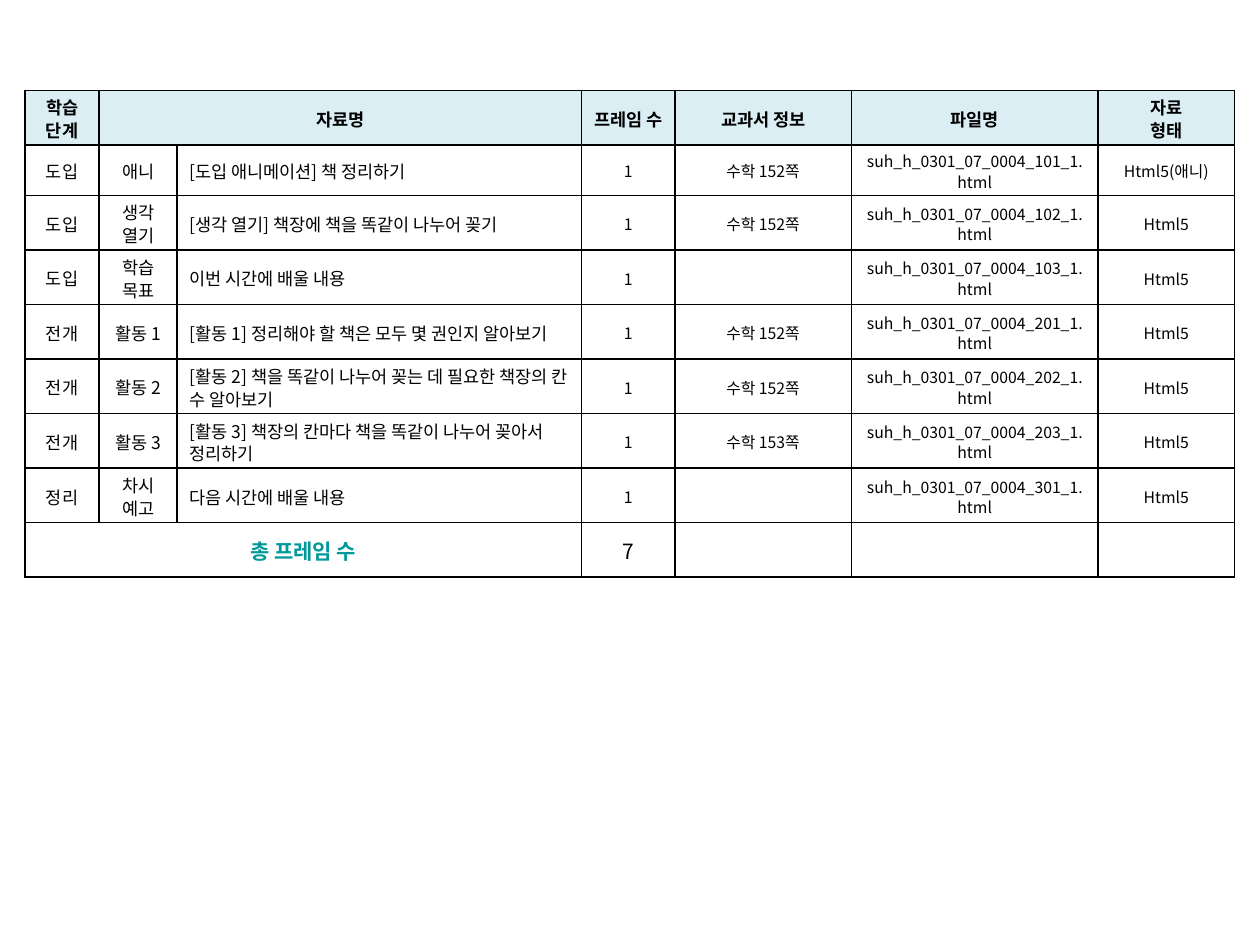
from lxml.etree import SubElement
from pptx import Presentation
from pptx.dml.color import RGBColor
from pptx.enum.text import MSO_ANCHOR, PP_ALIGN
from pptx.oxml.ns import qn
from pptx.util import Pt

FONT = "Noto Sans CJK KR"
BLACK, TEAL, HEADER_FILL = "000000", "009999", "DBEEF4"
COLUMN_WIDTHS = [42.5, 44.6, 231.1, 53.3, 100.8, 141.1, 77.8]
FIRST_LESSON_HEIGHT, ROW_HEIGHT = 28.8, 31.2
TITLE_COLUMN, FRAME_COLUMN = 2, 3

HEADERS = ["학습 단계", "자료명", "", "프레임 수", "교과서 정보", "파일명", "자료\n형태"]
# Stage, section, title, textbook page, file number, format
LESSONS = [
    ("도입", "애니", "[도입 애니메이션] 책 정리하기", "수학 152쪽", 101, "Html5(애니)"),
    ("도입", "생각 열기", "[생각 열기] 책장에 책을 똑같이 나누어 꽂기", "수학 152쪽", 102, "Html5"),
    ("도입", "학습 목표", "이번 시간에 배울 내용", "", 103, "Html5"),
    ("전개", "활동 1", "[활동 1] 정리해야 할 책은 모두 몇 권인지 알아보기", "수학 152쪽", 201, "Html5"),
    ("전개", "활동 2", "[활동 2] 책을 똑같이 나누어 꽂는 데 필요한 책장의 칸 수 알아보기",
     "수학 152쪽", 202, "Html5"),
    ("전개", "활동 3", "[활동 3] 책장의 칸마다 책을 똑같이 나누어 꽂아서 정리하기",
     "수학 153쪽", 203, "Html5"),
    ("정리", "차시 예고", "다음 시간에 배울 내용", "", 301, "Html5"),
]


def color(hex_string):
    return RGBColor.from_string(hex_string)


def set_borders(cell):
    properties = cell._tc.get_or_add_tcPr()
    for position, side in enumerate(("a:lnL", "a:lnR", "a:lnT", "a:lnB")):
        line = SubElement(properties, qn(side), w=str(Pt(1)))
        fill = SubElement(line, qn("a:solidFill"))
        SubElement(fill, qn("a:srgbClr"), val=BLACK)
        properties.insert(position, line)


def format_cell(cell, text, size, bold=False, text_color=BLACK, fill=None,
                alignment=PP_ALIGN.CENTER):
    cell.vertical_anchor = MSO_ANCHOR.MIDDLE
    cell.margin_left = cell.margin_right = Pt(7.2)
    cell.margin_top, cell.margin_bottom = Pt(3.6), Pt(1)
    if fill:
        cell.fill.solid()
        cell.fill.fore_color.rgb = color(fill)
    else:
        cell.fill.background()
    set_borders(cell)
    for index, line in enumerate(text.split("\n")):
        frame = cell.text_frame
        paragraph = frame.add_paragraph() if index else frame.paragraphs[0]
        paragraph.alignment = alignment
        paragraph.line_spacing = Pt(1.3 * size)
        if not line:
            continue
        run = paragraph.add_run()
        run.text = line
        run.font.size, run.font.bold, run.font.name = Pt(size), bold, FONT
        run.font.color.rgb = color(text_color)
        SubElement(run.font._element, qn("a:ea"), typeface=FONT)


def add_lesson_table(slide, left, top, width, height):
    row_count = len(LESSONS) + 2
    table = slide.shapes.add_table(row_count, len(COLUMN_WIDTHS), Pt(left), Pt(top),
                                   Pt(width), Pt(height)).table
    table.first_row = table.horz_banding = False
    for column, column_width in zip(table.columns, COLUMN_WIDTHS):
        column.width = Pt(column_width)
    for row in table.rows:
        row.height = Pt(ROW_HEIGHT)
    table.rows[1].height = Pt(FIRST_LESSON_HEIGHT)

    # Header row
    for index, text in enumerate(HEADERS):
        format_cell(table.cell(0, index), text, 10, bold=True, fill=HEADER_FILL)
    table.cell(0, 1).merge(table.cell(0, TITLE_COLUMN))

    # Lesson rows
    for row, (stage, section, title, page, number, kind) in enumerate(LESSONS, 1):
        file_name = f"suh_h_0301_07_0004_{number}_1.html"
        for index, text in enumerate((stage, section, title, "1", page, file_name, kind)):
            format_cell(table.cell(row, index), text,
                        size=10 if index < FRAME_COLUMN else 9,
                        alignment=PP_ALIGN.LEFT if index == TITLE_COLUMN else PP_ALIGN.CENTER)

    # Total row
    last = row_count - 1
    totals = {0: "총 프레임 수", FRAME_COLUMN: str(len(LESSONS))}
    for index in range(len(COLUMN_WIDTHS)):
        is_label = index == 0
        format_cell(table.cell(last, index), totals.get(index, ""), 12, bold=is_label,
                    text_color=TEAL if is_label else BLACK)
    table.cell(last, 0).merge(table.cell(last, TITLE_COLUMN))


def main():
    presentation = Presentation()
    presentation.slide_width, presentation.slide_height = Pt(720), Pt(540)
    slide = presentation.slides.add_slide(presentation.slide_layouts[6])
    add_lesson_table(slide, 14.2, 51.6, sum(COLUMN_WIDTHS), 278.4)
    presentation.save("out.pptx")


if __name__ == "__main__":
    main()
